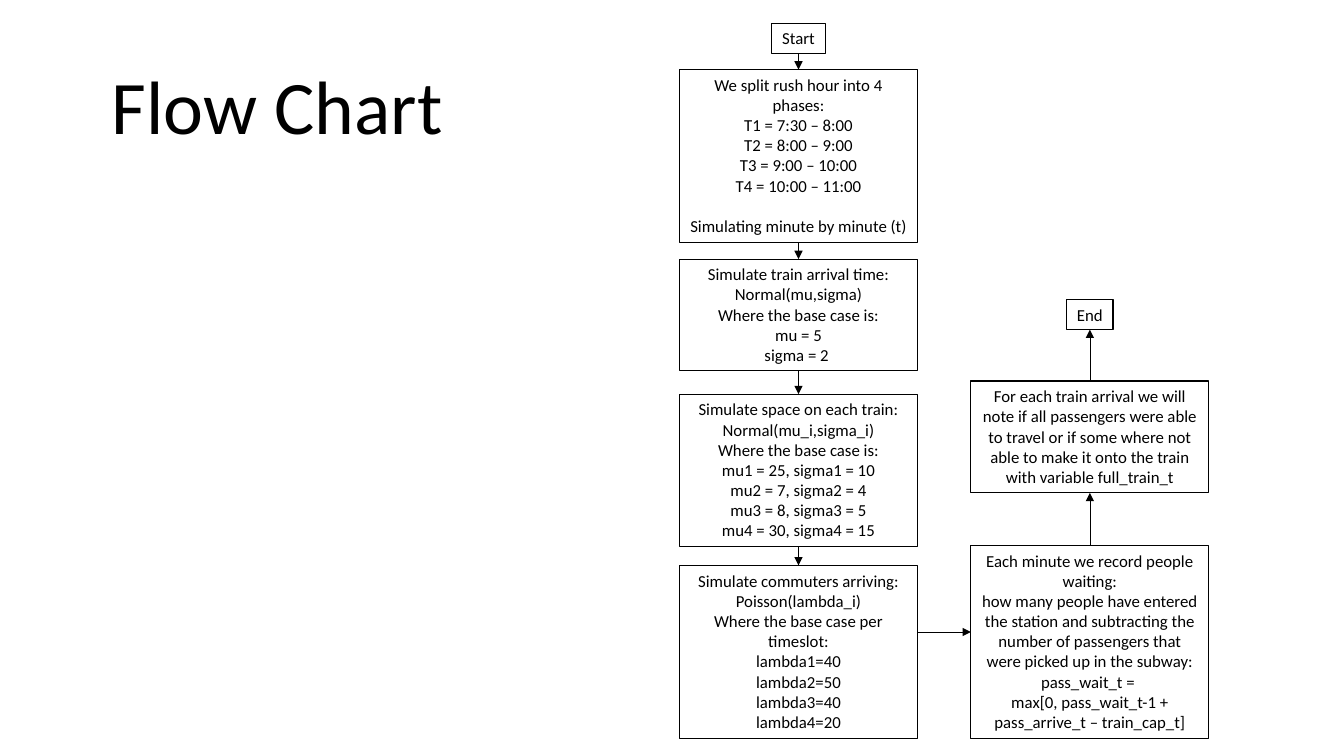
"""Build the flow chart slide of the train simulation."""
from dataclasses import dataclass

from lxml import etree
from pptx import Presentation
from pptx.dml.color import RGBColor
from pptx.enum.shapes import MSO_CONNECTOR, MSO_SHAPE
from pptx.enum.text import MSO_ANCHOR, MSO_AUTO_SIZE, PP_ALIGN
from pptx.oxml.ns import qn
from pptx.util import Inches, Pt


@dataclass(frozen=True)
class Theme:
    font: str = "Calibri"
    ink: RGBColor = RGBColor(0, 0, 0)
    title_size: float = 54
    box_size: float = 12
    box_line: float = 0.75
    arrow_line: float = 0.5
    blank_line: float = 14.65


THEME = Theme()
SLIDE_SIZE = (13.33, 7.5)
TITLE = "Flow Chart"
TITLE_FRAME = (1.01, 0.53, 3.52, 1.01)
COLUMN_CENTERS = (7.92, 10.81)
BOX_WIDTH = 2.36

# name: (column, top, width, height, paragraphs)
BOXES = {
    "start": (0, 0.23, 0.53, 0.3, ["Start"]),
    "phases": (0, 0.69, BOX_WIDTH, 1.72, [
        "We split rush hour into 4 phases:",
        "T1 = 7:30 – 8:00",
        "T2 = 8:00 – 9:00",
        "T3 = 9:00 – 10:00",
        "T4 = 10:00 – 11:00",
        "Simulating minute by minute (t)",
    ]),
    "arrival": (0, 2.57, BOX_WIDTH, 1.11, [
        "Simulate train arrival time:",
        "Normal(mu,sigma)",
        "Where the base case is:",
        "mu = 5",
        "sigma = 2 ",
    ]),
    "space": (0, 3.91, BOX_WIDTH, 1.51, [
        "Simulate space on each train:",
        "Normal(mu_i,sigma_i)",
        "Where the base case is:",
        "mu1 = 25, sigma1 = 10",
        "mu2 = 7, sigma2 = 4",
        "mu3 = 8, sigma3 = 5",
        "mu4 = 30, sigma4 = 15",
    ]),
    "commuters": (0, 5.61, BOX_WIDTH, 1.72, [
        "Simulate commuters arriving:",
        "Poisson(lambda_i)",
        "Where the base case per timeslot:",
        "lambda1=40",
        "lambda2=50",
        "lambda3=40",
        "lambda4=20",
    ]),
    "waiting": (1, 5.41, BOX_WIDTH, 1.92, [
        "Each minute we record people waiting:",
        "how many people have entered the station and subtracting the number "
        "of passengers that were picked up in the subway:",
        "pass_wait_t = ",
        "max[0, pass_wait_t-1 + pass_arrive_t – train_cap_t]",
    ]),
    "full": (1, 3.78, BOX_WIDTH, 1.11, [
        "For each train arrival we will note if all passengers were able to "
        "travel or if some where not able to make it onto the train with "
        "variable full_train_t",
    ]),
    "end": (1, 2.97, 0.46, 0.3, ["End"]),
}
FLOW = list(BOXES)
GAP_BEFORE = "Simulating minute by minute (t)"
CROSSING_Y = 6.27


def style_text(paragraph, size):
    for run in paragraph.runs:
        run.font.name = THEME.font
        run.font.size = Pt(size)
        run.font.color.rgb = THEME.ink


def add_title(slide):
    title = slide.shapes.title
    title.left, title.top, title.width, title.height = map(Inches, TITLE_FRAME)
    frame = title.text_frame
    frame.text = TITLE
    frame.word_wrap = False
    frame.auto_size = MSO_AUTO_SIZE.NONE
    frame.vertical_anchor = MSO_ANCHOR.TOP
    frame.paragraphs[0].alignment = PP_ALIGN.LEFT
    style_text(frame.paragraphs[0], THEME.title_size)


def add_box(slide, column, top, width, height, lines):
    left = COLUMN_CENTERS[column] - width / 2
    shape = slide.shapes.add_shape(
        MSO_SHAPE.RECTANGLE, *map(Inches, (left, top, width, height)))
    shape.shadow.inherit = False
    shape.fill.background()
    shape.line.color.rgb = THEME.ink
    shape.line.width = Pt(THEME.box_line)
    frame = shape.text_frame
    frame.text = "\n".join(lines)
    frame.word_wrap = width == BOX_WIDTH
    frame.vertical_anchor = MSO_ANCHOR.TOP
    for paragraph in frame.paragraphs:
        paragraph.alignment = PP_ALIGN.CENTER
        if paragraph.text == GAP_BEFORE:
            paragraph.space_before = Pt(THEME.blank_line)
        style_text(paragraph, THEME.box_size)


def arrow_ends(source, target):
    column, top, width, height = source[:4]
    next_column, next_top, next_width, next_height = target[:4]
    center, next_center = COLUMN_CENTERS[column], COLUMN_CENTERS[next_column]
    if column != next_column:
        return (center + width / 2, CROSSING_Y,
                next_center - next_width / 2, CROSSING_Y)
    if next_top > top:
        return center, top + height, center, next_top
    return center, top, center, next_top + next_height


def add_arrow(slide, ends):
    arrow = slide.shapes.add_connector(
        MSO_CONNECTOR.STRAIGHT, *map(Inches, ends))
    arrow.line.color.rgb = THEME.ink
    arrow.line.width = Pt(THEME.arrow_line)
    etree.SubElement(arrow.line._get_or_add_ln(), qn("a:tailEnd"), type="triangle")
    etree.SubElement(arrow._element.spPr, qn("a:effectLst"))


def main():
    presentation = Presentation()
    presentation.slide_width, presentation.slide_height = map(Inches, SLIDE_SIZE)
    slide = presentation.slides.add_slide(presentation.slide_layouts[5])
    add_title(slide)
    for box in BOXES.values():
        add_box(slide, *box)
    for source, target in zip(FLOW, FLOW[1:]):
        add_arrow(slide, arrow_ends(BOXES[source], BOXES[target]))
    presentation.save("out.pptx")


if __name__ == "__main__":
    main()
